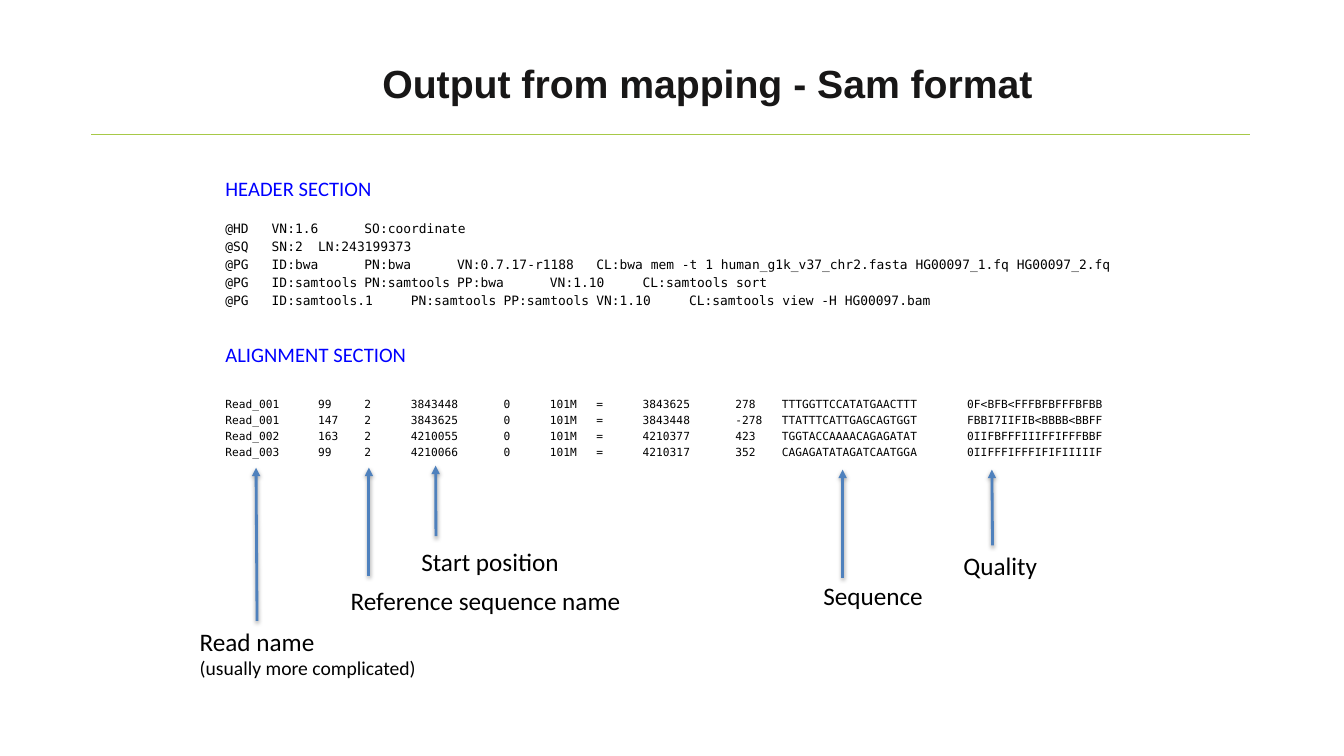
from pptx import Presentation
from pptx.dml.color import RGBColor
from pptx.enum.shapes import MSO_CONNECTOR
from pptx.enum.text import MSO_ANCHOR, PP_ALIGN
from pptx.oxml import parse_xml
from pptx.oxml.ns import nsdecls, qn
from pptx.util import Pt
from lxml.etree import SubElement

TAB_STEP = 33.12
TAB_COUNT = 18

HEADING = dict(name="Calibri", size=Pt(14.7), color="0000FF")
HEADER_CODE = dict(name="DejaVu Sans Mono", size=Pt(9.2), color="000000")
READ_CODE = dict(HEADER_CODE, size=Pt(8))
LABEL = dict(name="Calibri", size=Pt(18), color="000000")
NOTE = dict(LABEL, size=Pt(14))
TITLE = dict(name="Arial", size=Pt(28), bold=True, color="181717")

HEADER_LINES = [
    "@HD\tVN:1.6\tSO:coordinate",
    "@SQ\tSN:2\tLN:243199373",
    "@PG\tID:bwa\tPN:bwa\tVN:0.7.17-r1188\t"
    "CL:bwa mem -t 1 human_g1k_v37_chr2.fasta HG00097_1.fq HG00097_2.fq",
    "@PG\tID:samtools\tPN:samtools\tPP:bwa\tVN:1.10\tCL:samtools sort",
    "@PG\tID:samtools.1\tPN:samtools\tPP:samtools\tVN:1.10\t"
    "CL:samtools view -H HG00097.bam",
]
READ_LINES = [
    "Read_001\t99\t2\t3843448\t0\t101M\t=\t3843625\t278\tTTTGGTTCCATATGAACTTT\t\t0F<BFB<FFFBFBFFFBFBB",
    "Read_001\t147\t2\t3843625\t0\t101M\t=\t3843448\t-278\tTTATTTCATTGAGCAGTGGT\t\tFBBI7IIFIB<BBBB<BBFF",
    "Read_002\t163\t2\t4210055\t0\t101M\t=\t4210377\t423\tTGGTACCAAAACAGAGATAT\t\t0IIFBFFFIIIFFIFFFBBF",
    "Read_003\t99\t2\t4210066\t0\t101M\t=\t4210317\t352\tCAGAGATATAGATCAATGGA \t0IIFFFIFFFIFIFIIIIIF",
]
# Label text, left, top, width
LABELS = [
    ("Start position", 293.8, 386.6, 113.8),
    ("Reference sequence name", 243.4, 414.7, 209.5),
    ("Sequence", 581, 411.1, 86.4),
    ("Quality", 681.1, 389.5, 67.7),
]
# Arrow start x, y and end x, y
ARROWS = [
    (183.6, 443.5, 182.9, 334.1),
    (263.5, 411.1, 263.5, 334.1),
    (311.4, 383, 311.2, 332.6),
    (601.9, 412.6, 601.9, 335.5),
    (709, 389.5, 708.5, 335.5),
]


def rgb(value):
    return RGBColor.from_string(value)


def set_insets(tf, inset):
    for side in ("left", "top", "right", "bottom"):
        setattr(tf, f"margin_{side}", Pt(inset))


def write(p, text, fmt):
    r = p.add_run()
    r.text = text
    for key, value in fmt.items():
        if key == "color":
            r.font.color.rgb = rgb(value)
        else:
            setattr(r.font, key, value)


def add_text(s, left, top, width, height, wrap=False):
    tf = s.shapes.add_textbox(*map(Pt, (left, top, width, height))).text_frame
    tf.word_wrap = wrap
    return tf


def add_tabs(p):
    tabs = SubElement(p._p.get_or_add_pPr(), qn("a:tabLst"))
    for n in range(1, TAB_COUNT + 1):
        SubElement(tabs, qn("a:tab"), pos=str(int(Pt(n * TAB_STEP))), algn="l")


def fill_listing(tf, blocks):
    """Write blocks of (lines, format, space before block, space between lines)."""
    set_insets(tf, 0)
    p = tf.paragraphs[0]
    for lines, fmt, before, between in blocks:
        for i, line in enumerate(lines):
            p = p or tf.add_paragraph()
            add_tabs(p)
            p.space_before = Pt(between if i else before)
            write(p, line, fmt)
            p = None


def fill_label(tf, lines):
    for i, (text, fmt) in enumerate(lines):
        write(tf.add_paragraph() if i else tf.paragraphs[0], text, fmt)


def add_line(s, ends, color, width, effects=""):
    line = s.shapes.add_connector(MSO_CONNECTOR.STRAIGHT, *map(Pt, ends))
    line.line.color.rgb = rgb(color)
    line.line.width = Pt(width)
    line._element.spPr.append(
        parse_xml(f'<a:effectLst {nsdecls("a")}>{effects}</a:effectLst>'))
    return line


def add_arrow(s, ends):
    shadow = (f'<a:outerShdw blurRad="{int(Pt(3))}" dist="{int(Pt(1.6))}" dir="5400000" '
              'rotWithShape="0"><a:srgbClr val="000000"><a:alpha val="38000"/>'
              '</a:srgbClr></a:outerShdw>')
    line = add_line(s, ends, "4F81BD", 2, shadow)
    SubElement(line.line._get_or_add_ln(), qn("a:tailEnd"), type="triangle")


def add_title(s, text):
    sp = s.shapes.title
    sp.left, sp.top, sp.width, sp.height = map(Pt, (194, 28.8, 622.8, 65.5))
    sp.text_frame.vertical_anchor = MSO_ANCHOR.MIDDLE
    p = sp.text_frame.paragraphs[0]
    p.alignment, p.line_spacing = PP_ALIGN.CENTER, 0.9
    write(p, text, TITLE)


def main():
    prs = Presentation()
    prs.slide_width, prs.slide_height = Pt(960), Pt(540)
    s = prs.slides.add_slide(prs.slide_layouts[5])

    # Title and rule
    add_line(s, (65.2, 96.2, 893, 96.2), "A7C947", 0.75)
    add_title(s, "Output from mapping - Sam format")

    # File listing
    fill_listing(add_text(s, 161, 125.3, 640, 301.7, wrap=True), [
        (["HEADER SECTION"], HEADING, 0, 0),
        (HEADER_LINES, HEADER_CODE, 14.3, 1.95),
        (["ALIGNMENT SECTION"], HEADING, 24, 0),
        (READ_LINES, READ_CODE, 21.6, 1.8),
    ])

    # Column labels
    for text, left, top, width in LABELS:
        fill_label(add_text(s, left, top, width, 28.8), [(text, LABEL)])
    read_name = add_text(s, 139, 443.5, 216.7, 46.1, wrap=True)
    set_insets(read_name, 3.6)
    fill_label(read_name, [("Read name", LABEL), ("(usually more complicated)", NOTE)])

    # Arrows up to the columns
    for ends in ARROWS:
        add_arrow(s, ends)

    prs.save("out.pptx")


if __name__ == "__main__":
    main()
